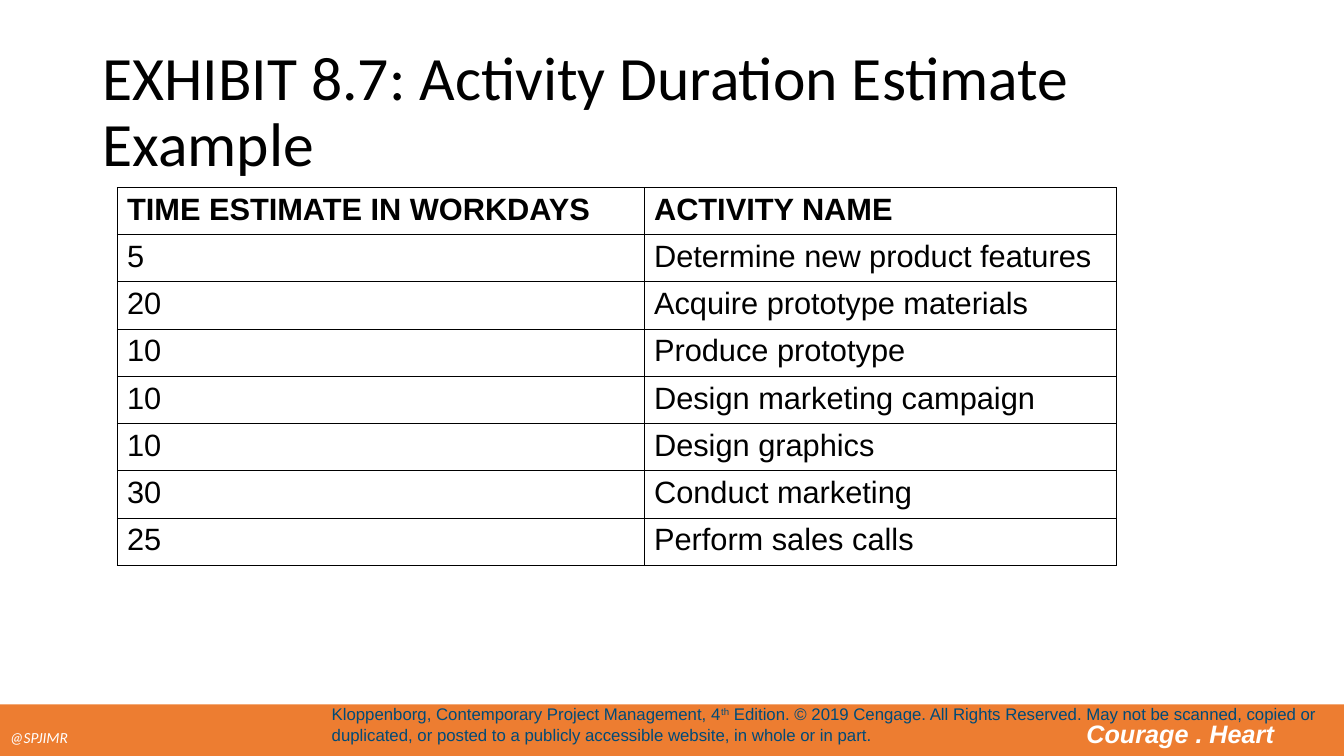
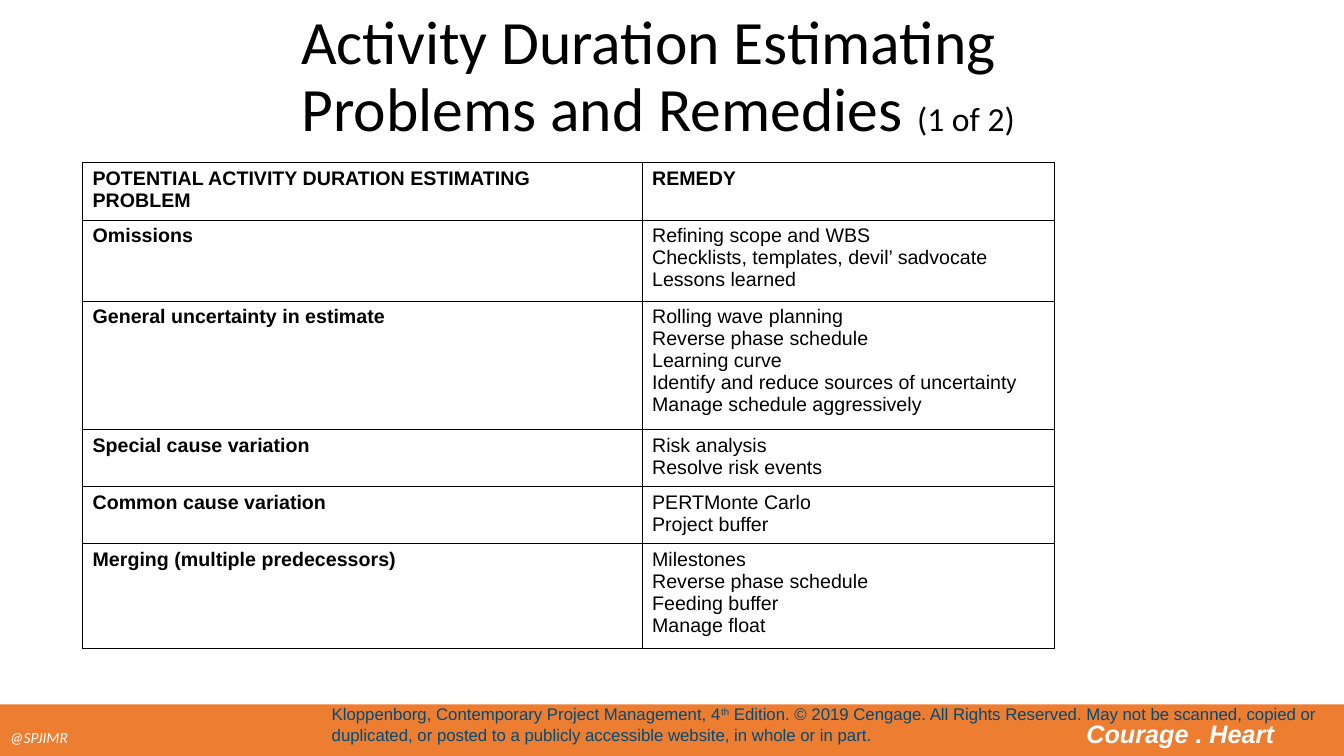
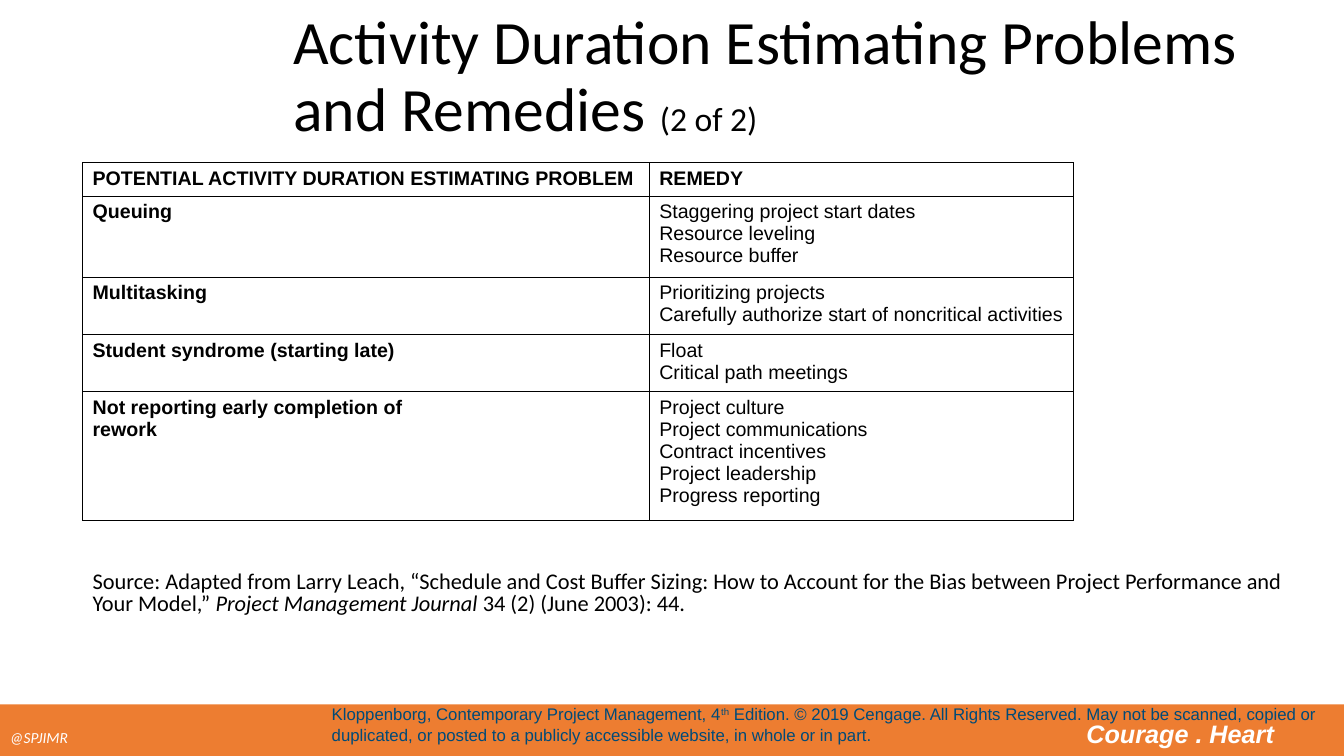
"""Builds three slides on estimating activity durations."""
from lxml import etree
from pptx import Presentation
from pptx import util as u
from pptx.dml.color import RGBColor
from pptx.enum import shapes, text
from pptx.oxml.ns import qn

INK = {"black": "000000", "white": "FFFFFF", "band": "ED7D31", "navy": "004A78"}
WIDE, HIGH = 33.87, 19.05
BAND = (0, 17.75, WIDE, 1.3)
HEAD = "POTENTIAL ACTIVITY DURATION ESTIMATING PROBLEM"
THEME = "Activity Duration Estimating Problems and Remedies "

TIMES = [
    ("TIME ESTIMATE IN WORKDAYS", "ACTIVITY NAME"),
    ("5", "Determine new product features"),
    ("20", "Acquire prototype materials"),
    ("10", "Produce prototype"),
    ("10", "Design marketing campaign"),
    ("10", "Design graphics"),
    ("30", "Conduct marketing"),
    ("25", "Perform sales calls"),
]
CAUSES = [
    (HEAD, "REMEDY"),
    ("Omissions", "Refining scope and WBS\nChecklists, templates, devil’ sadvocate\nLessons learned"),
    ("General uncertainty in estimate",
     "Rolling wave planning\nReverse phase schedule\nLearning curve\n"
     "Identify and reduce sources of uncertainty\nManage schedule aggressively"),
    ("Special cause variation", "Risk analysis\nResolve risk events"),
    ("Common cause variation", "PERTMonte Carlo\nProject buffer"),
    ("Merging (multiple predecessors)",
     "Milestones\nReverse phase schedule\nFeeding buffer\nManage float"),
]
HABITS = [
    (HEAD, "REMEDY"),
    ("Queuing", "Staggering project start dates\nResource leveling\nResource buffer"),
    ("Multitasking",
     "Prioritizing projects\nCarefully authorize start of noncritical activities"),
    ("Student syndrome (starting late)", "Float\nCritical path meetings"),
    ("Not reporting early completion of\nrework",
     "Project culture\nProject communications\nContract incentives\n"
     "Project leadership\nProgress reporting"),
]


def tint(name):
    """Return a palette colour."""
    return RGBColor.from_string(INK[name])


def place(item, box):
    """Move an item to a box given in centimetres."""
    item.left, item.top, item.width, item.height = map(u.Cm, box)


def write(para, words, size, face="Calibri", ink="black", bold=False, slant=False):
    """Add one styled run to a paragraph."""
    run = para.add_run()
    run.text = words
    font = run.font
    font.size, font.name, font.bold, font.italic = u.Pt(size), face, bold, slant
    font.color.rgb = tint(ink)
    return run


def band(slide, master):
    """Draw the footer band and hand it to the master."""
    left, top, width, height = BAND
    bar = slide.shapes.add_shape(shapes.MSO_SHAPE.RECTANGLE, *map(u.Cm, BAND))
    bar.shadow.inherit = False
    bar.fill.solid()
    bar.fill.fore_color.rgb = tint("band")
    bar.line.fill.background()
    para = bar.text_frame.paragraphs[0]
    para.alignment = text.PP_ALIGN.LEFT
    tabs = etree.SubElement(para._p.get_or_add_pPr(), qn("a:tabLst"))
    etree.SubElement(tabs, qn("a:tab"), pos=str(u.Cm(27.13)), algn="l")
    write(para, "@SPJIMR", 11, ink="white", slant=True)
    write(para, "\t", 24, ink="white", slant=True)
    write(para, "Courage . Heart", 18, "Arial", "white", True, True)

    note = slide.shapes.add_textbox(
        u.Cm(left + 8.36), u.Cm(top), u.Cm(24.87), u.Cm(height - 0.16))
    frame = note.text_frame
    frame.word_wrap = True
    frame.vertical_anchor = text.MSO_ANCHOR.BOTTOM
    frame.margin_left = frame.margin_right = frame.margin_top = 0
    frame.margin_bottom = u.Cm(0.13)
    para = frame.paragraphs[0]
    style = (12, "Arial", "navy")
    write(para, "Kloppenborg, Contemporary Project Management, 4", *style)
    raised = write(para, "th", *style)
    raised._r.get_or_add_rPr().set("baseline", "30000")
    write(para, " Edition. © 2019 Cengage. All Rights Reserved. May not be scanned, "
          "copied or duplicated, or posted to a publicly accessible website, "
          "in whole or in part.", *style)
    for mark, part in enumerate((bar, note), 101):
        part.element.xpath(".//p:cNvPr")[0].set("id", str(mark))
        master.shapes.element.append(part.element)


def title(slide, box, words, count=""):
    """Fill the title, with a small page count if given."""
    head = slide.shapes.title
    place(head, box)
    frame = head.text_frame
    frame.auto_size = text.MSO_AUTO_SIZE.NONE
    frame.vertical_anchor = text.MSO_ANCHOR.MIDDLE
    para = frame.paragraphs[0]
    para.alignment = text.PP_ALIGN.LEFT
    para.line_spacing = 0.9
    write(para, words, 44)
    if count:
        write(para, count, 24)


def edge(cell):
    """Rule all four sides of a cell."""
    props = cell._tc.get_or_add_tcPr()
    for side in ("lnL", "lnR", "lnT", "lnB"):
        line = etree.SubElement(props, qn("a:" + side), w=str(u.Pt(0.45)))
        fill = etree.SubElement(line, qn("a:solidFill"))
        etree.SubElement(fill, qn("a:srgbClr"), val=INK["black"])


def grid(slide, spot, wide, rows, tall, size, lead=False):
    """Draw a ruled table; lead makes the first column bold."""
    box = (*spot, sum(wide), sum(tall))
    table = slide.shapes.add_table(len(rows), len(wide), *map(u.Cm, box)).table
    table.horz_banding = False
    for col, width in zip(table.columns, wide):
        col.width = u.Cm(width)
    for r, (row, height) in enumerate(zip(rows, tall)):
        table.rows[r].height = u.Cm(height)
        for c, words in enumerate(row):
            cell = table.cell(r, c)
            edge(cell)
            cell.fill.background()
            frame = cell.text_frame
            for n, line in enumerate(words.split("\n")):
                para = frame.add_paragraph() if n else frame.paragraphs[0]
                write(para, line, size, "Arial", bold=r == 0 or (lead and c == 0))


def fixes(slide, spot, wide, rows, first=1):
    """Draw a table of problems and remedies, rows sized by line count."""
    lines = [first] + [1 + row[1].count("\n") for row in rows[1:]]
    grid(slide, spot, wide, rows, [0.84 + 0.6 * (n - 1) for n in lines], 14, True)


def source(slide, box):
    """Fill the body with the source line."""
    body = slide.placeholders[1]
    place(body, box)
    frame = body.text_frame
    frame.auto_size = text.MSO_AUTO_SIZE.NONE
    para = frame.paragraphs[0]
    props = para._p.get_or_add_pPr()
    props.set("marL", "0")
    props.set("indent", "0")
    etree.SubElement(props, qn("a:buNone"))
    para.line_spacing = 0.8
    para.space_before = u.Pt(0)
    write(para, "Source: Adapted from Larry Leach, “Schedule and Cost Buffer Sizing: "
          "How to Account for the Bias between Project Performance and Your Model,” ", 16)
    write(para, "Project Management Journal", 16, slant=True)
    write(para, " 34 (2) (June 2003): 44.", 16)


def main():
    """Build and save the deck."""
    deck = Presentation()
    deck.slide_width, deck.slide_height = u.Cm(WIDE), u.Cm(HIGH)
    plain, full = deck.slide_layouts[5], deck.slide_layouts[1]

    slide = deck.slides.add_slide(plain)
    band(slide, deck.slide_master)
    title(slide, (2.33, 1.02, 29.21, 3.68), "EXHIBIT 8.7: Activity Duration Estimate Example")
    grid(slide, (2.95, 4.72), (13.28, 11.91), TIMES, [1.19] * len(TIMES), 22)

    slide = deck.slides.add_slide(plain)
    title(slide, (7.34, 0.69, 24.21, 2.54), THEME, "(1 of 2)")
    fixes(slide, (2.08, 4.1), (14.1, 10.4), CAUSES, 2)

    slide = deck.slides.add_slide(full)
    title(slide, (7.14, 0.69, 24.41, 2.54), THEME, "(2 of 2)")
    fixes(slide, (2.08, 4.1), (14.28, 10.7), HABITS)
    source(slide, (2.08, 14.3, 31.06, 1.45))

    deck.save("out.pptx")


if __name__ == "__main__":
    main()
